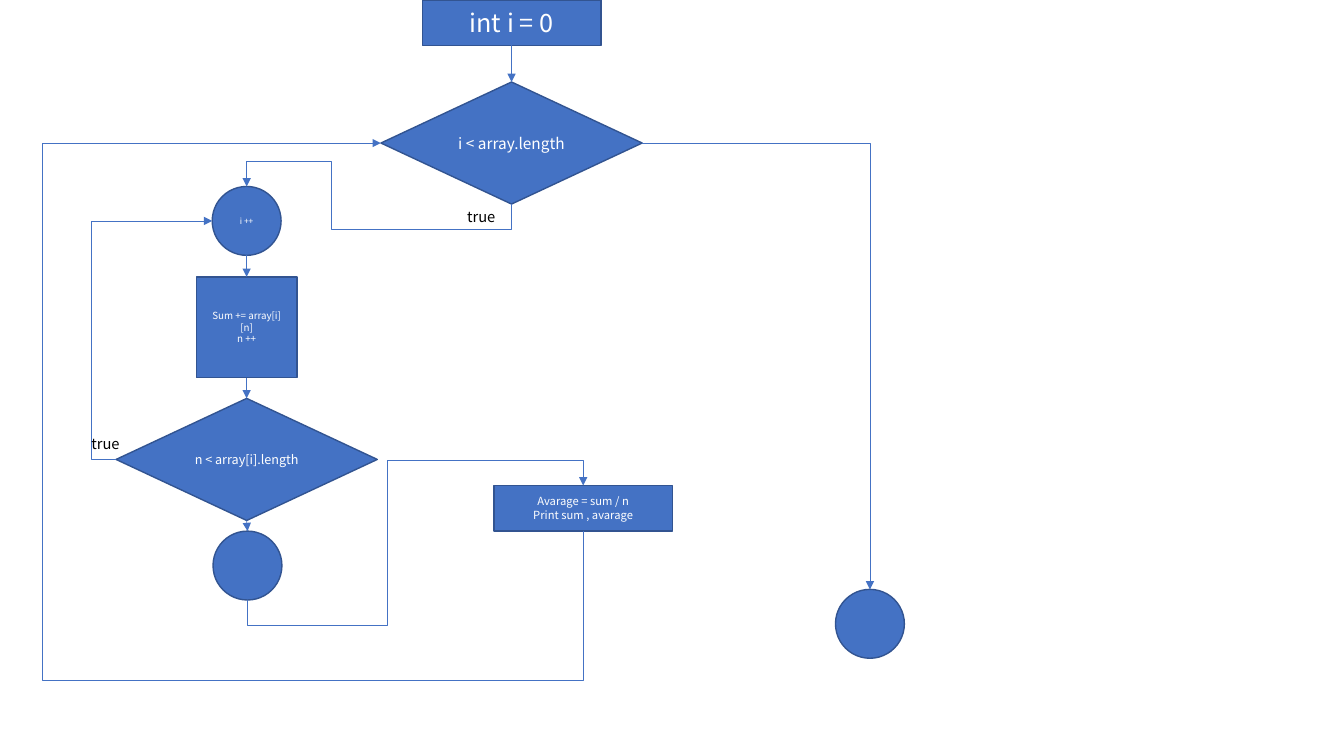
"""Build a flowchart of nested array loops that sum and average values."""
from lxml.etree import SubElement
from pptx import Presentation
from pptx.dml.color import RGBColor
from pptx.enum.shapes import MSO_CONNECTOR, MSO_SHAPE
from pptx.enum.text import MSO_ANCHOR, MSO_AUTO_SIZE, PP_ALIGN
from pptx.oxml.ns import qn
from pptx.util import Pt

FONT = "Noto Sans CJK KR"
COLORS = {"fill": "4472C4", "outline": "325491", "light": "FFFFFF", "dark": "000000"}

KINDS = {
    "process": (MSO_SHAPE.RECTANGLE, 127.6, 32.4),
    "square": (MSO_SHAPE.RECTANGLE, 72, 72),
    "decision": (MSO_SHAPE.DIAMOND, 186.6, 87.2),
    "junction": (MSO_SHAPE.OVAL, 49.2, 49.2),
}

# name: kind, centre x, top, text size, lines
NODES = {
    "sum": ("square", 176.2, 197.8, 7, ["Sum += array[i][n]", "n ++"]),
    "next row": ("junction", 176.2, 133.2, 6, ["i ++"]),
    "row done": ("junction", 176.8, 379.4, 0, []),
    "inner test": ("decision", 176.2, 284.6, 9, ["n < array[i].length"]),
    "start": ("process", 365.4, 0, 18, ["int i = 0"]),
    "outer test": ("decision", 365.4, 58.6, 11, ["i < array.length"]),
    "report": ("process", 416.6, 346.8, 8, ["Avarage = sum / n", "Print sum , avarage"]),
    "end": ("junction", 621.4, 421, 0, []),
}

SIDES = {"top": (0.5, 0), "left": (0, 0.5), "bottom": (0.5, 1), "right": (1, 0.5)}

STRAIGHT_FLOWS = [
    ("start", "outer test"),
    ("next row", "sum"),
    ("sum", "inner test"),
    ("inner test", "row done"),
]

# from, side, to, side, bend positions alternating between the two axes
BENT_FLOWS = [
    ("outer test", "bottom", "next row", "top", [163.8, 236.6, 115.2]),
    ("inner test", "left", "next row", "left", [65.2]),
    ("row done", "bottom", "report", "top", [446.6, 277, 328.8]),
    ("report", "bottom", "outer test", "left", [486, 30.2]),
    ("outer test", "right", "end", "top", []),
]

BRANCH_LABELS = [("true", 58.2, 307.4), ("true", 326.6, 145.2)]


def color(name):
    return RGBColor.from_string(COLORS[name])


def write(frame, lines, size, color_name, align):
    for index, line in enumerate(lines):
        paragraph = frame.paragraphs[0] if index == 0 else frame.add_paragraph()
        paragraph.alignment = align
        run = paragraph.add_run()
        run.text = line
        run.font.name = FONT
        run.font.size = Pt(size)
        run.font.color.rgb = color(color_name)


def add_node(slide, kind, center, top, size, lines):
    preset, width, height = KINDS[kind]
    shape = slide.shapes.add_shape(
        preset, Pt(center - width / 2), Pt(top), Pt(width), Pt(height))
    shape.shadow.inherit = False
    shape.fill.solid()
    shape.fill.fore_color.rgb = color("fill")
    shape.line.color.rgb = color("outline")
    shape.line.width = Pt(1)
    shape.text_frame.word_wrap = True
    shape.text_frame.vertical_anchor = MSO_ANCHOR.MIDDLE
    write(shape.text_frame, lines, size, "light", PP_ALIGN.CENTER)
    return shape


def site_point(name, side):
    kind, center, top, _, _ = NODES[name]
    _, width, height = KINDS[kind]
    across, down = SIDES[side]
    return center + (across - 0.5) * width, top + down * height


def site_index(name, side):
    return list(SIDES).index(side) * (2 if NODES[name][0] == "junction" else 1)


def add_flow(slide, shapes, source, source_side, target, target_side, bends=None):
    start, end = site_point(source, source_side), site_point(target, target_side)
    kind = MSO_CONNECTOR.STRAIGHT if bends is None else MSO_CONNECTOR.ELBOW
    connector = slide.shapes.add_connector(kind, *map(Pt, start + end))
    connector.begin_connect(shapes[source], 0)
    connector.end_connect(shapes[target], 0)
    link = connector._element.nvCxnSpPr.cNvCxnSpPr
    link.stCxn.idx = site_index(source, source_side)
    link.endCxn.idx = site_index(target, target_side)
    connector.begin_x, connector.begin_y = map(Pt, start)
    connector.end_x, connector.end_y = map(Pt, end)
    connector.line.color.rgb = color("fill")
    connector.line.width = Pt(0.5)
    properties = connector._element.spPr
    SubElement(properties.find(qn("a:ln")), qn("a:tailEnd"), type="triangle")
    SubElement(properties, qn("a:effectLst"))
    if bends is not None:
        bend(connector, start, end, bends, source_side == "bottom")


def bend(connector, start, end, bends, vertical):
    delta = [end[0] - start[0], end[1] - start[1]]
    width, height = delta
    if vertical:
        width, height = delta[1], -delta[0]
    connector.left = Pt((start[0] + end[0] - abs(width)) / 2)
    connector.top = Pt((start[1] + end[1] - abs(height)) / 2)
    connector.width, connector.height = Pt(abs(width)), Pt(abs(height))
    properties = connector._element.spPr
    transform = properties.find(qn("a:xfrm"))
    transform.set("rot", "5400000" if vertical else "0")
    transform.set("flipH", str(int(width < 0)))
    transform.set("flipV", str(int(height < 0)))
    geometry = properties.find(qn("a:prstGeom"))
    geometry.set("prst", f"bentConnector{len(bends) + 2}")
    guides = geometry.find(qn("a:avLst"))
    for index, position in enumerate(bends):
        axis = (index + vertical) % 2
        ratio = round((position - start[axis]) / delta[axis] * 100000)
        SubElement(guides, qn("a:gd"), name=f"adj{index + 1}", fmla=f"val {ratio}")


def add_label(slide, text, left, top):
    box = slide.shapes.add_textbox(Pt(left), Pt(top), Pt(38.8), Pt(20.8))
    box.text_frame.word_wrap = True
    box.text_frame.auto_size = MSO_AUTO_SIZE.SHAPE_TO_FIT_TEXT
    write(box.text_frame, [text], 10.5, "dark", PP_ALIGN.LEFT)


presentation = Presentation()
presentation.slide_width, presentation.slide_height = Pt(960), Pt(540)
slide = presentation.slides.add_slide(presentation.slide_layouts[6])
shapes = {name: add_node(slide, *node) for name, node in NODES.items()}
for source, target in STRAIGHT_FLOWS:
    add_flow(slide, shapes, source, "bottom", target, "top")
for flow in BENT_FLOWS:
    add_flow(slide, shapes, *flow)
for label in BRANCH_LABELS:
    add_label(slide, *label)
presentation.save("out.pptx")
